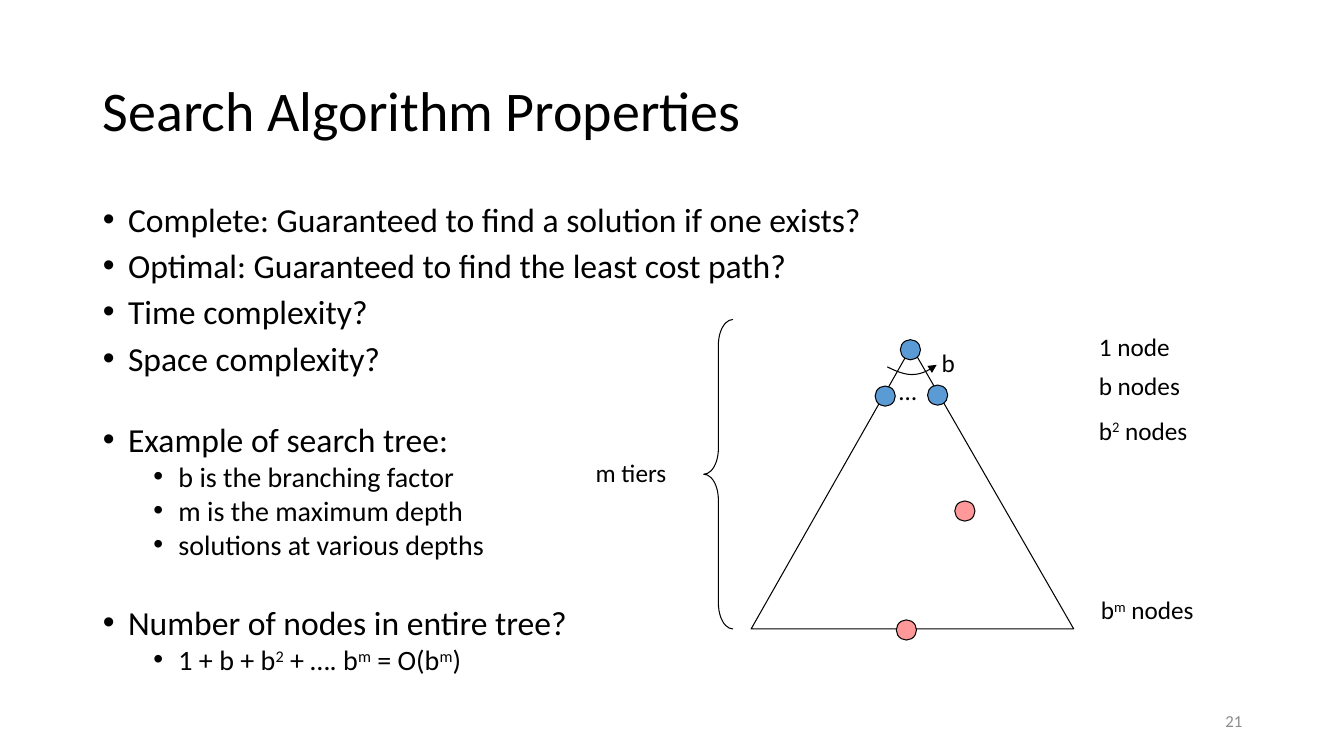
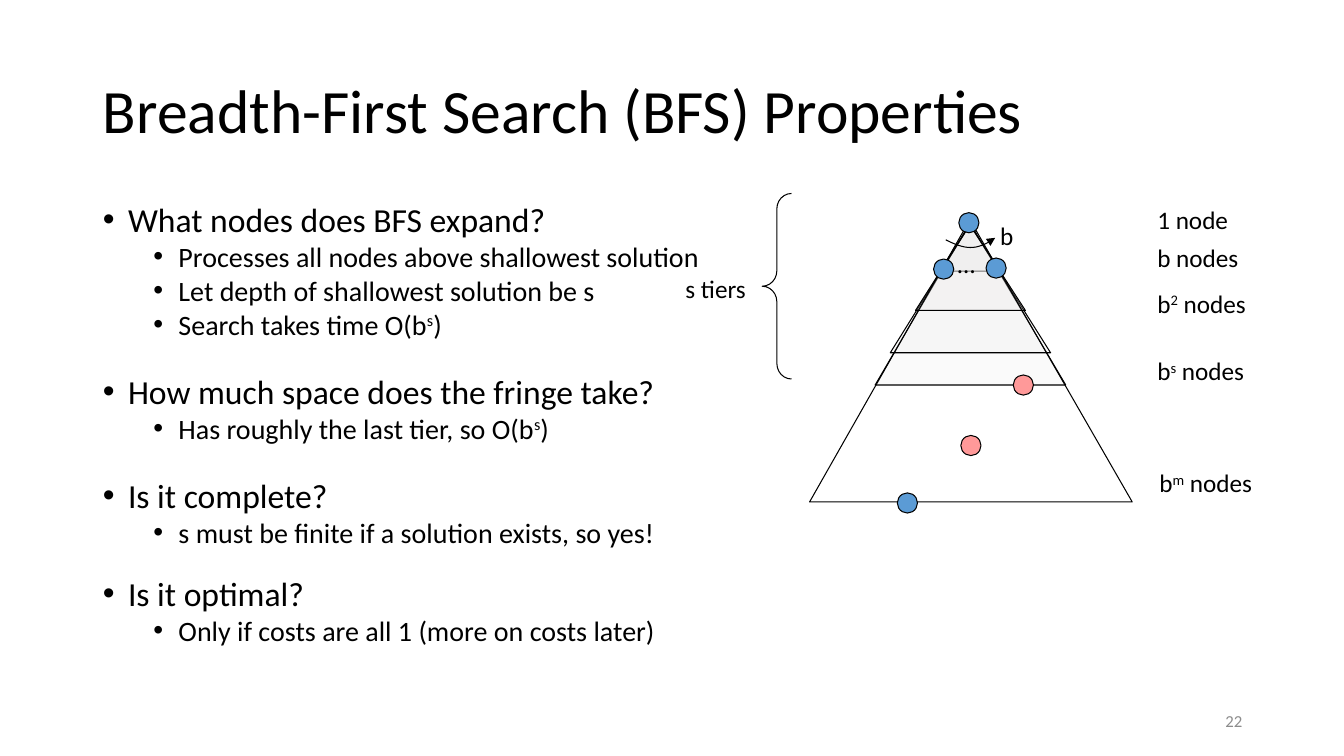
"""Build two slides on search tree properties and breadth-first search."""
from pptx import Presentation
from pptx import util as u
from pptx.dml.color import RGBColor
from pptx.enum import shapes, text
from pptx.oxml import ns, xmlchemy

PX = 9144
FONT = "Calibri"
BLACK = RGBColor(0x00, 0x00, 0x00)
GRAY = RGBColor(0x8C, 0x8C, 0x8C)
SHADE = RGBColor(0xE7, 0xE6, 0xE6)
BLUE = RGBColor(0x5B, 0x9B, 0xD5)
PINK = RGBColor(0xFF, 0x99, 0x99)
DOT = 20
LINE_WIDTH = u.Pt(0.75)
SIZES = [24, 20]
INDENTS = [25, 75]
HANGING = 25


def write(para, content, size=18, color=BLACK, align=text.PP_ALIGN.LEFT, spacing=1.0, before=0):
    """Fill a paragraph; pieces between bars become superscripts."""
    para.alignment = align
    para.line_spacing = spacing
    para.space_before = u.Pt(before)
    for index, piece in enumerate(content.split("|")):
        span = para.add_run()
        span.text = piece
        span.font.name = FONT
        span.font.size = u.Pt(size)
        span.font.color.rgb = color
        if index % 2:
            span._r.get_or_add_rPr().set("baseline", "30000")


def outline(page, points, close=True):
    """Draw an unfilled black outline through points given in px."""
    scaled = [(x * PX, y * PX) for x, y in points]
    builder = page.shapes.build_freeform(*scaled[0])
    builder.add_line_segments(scaled[1:], close=close)
    shape = builder.convert_to_shape()
    shape.shadow.inherit = False
    shape.fill.background()
    shape.line.color.rgb = BLACK
    shape.line.width = LINE_WIDTH
    return shape


TREE_DOTS = [(-1, 3), (-26, 49), (26, 48)]
TREE_LABELS = [
    ("…", -22, 23, 30),
    ("b", 20, -4, 33),
    ("1 node", 176, -20, 122),
    ("b nodes", 176, 18, 122),
    ("b|2| nodes", 176, 63, 122),
    ("b|m| nodes", 178, 241, 160),
]
ARC = [(-24, 20), (-6, 29), (6, 32), (25, 18)]
ARC_STEPS = 16

# Bullets are (level, space before in points, text).
SLIDES = [
    dict(
        number="21",
        title="Search Algorithm Properties",
        title_size=40,
        bullets=[
            (0, 0, "Complete: Guaranteed to find a solution if one exists?"),
            (0, 10, "Optimal: Guaranteed to find the least cost path?"),
            (0, 10, "Time complexity?"),
            (0, 10, "Space complexity?"),
            (0, 35, "Example of search tree:"),
            (1, 5, "b is the branching factor"),
            (1, 5, "m is the maximum depth"),
            (1, 5, "solutions at various depths"),
            (0, 35, "Number of nodes in entire tree?"),
            (1, 5, "1 + b + b|2| + …. b|m| = O(b|m|)"),
        ],
        apex=(904, 344),
        tiers=[],
        dots=[(899, 625, PINK), (957, 507, PINK)],
        brace=(698, 317, 29, 307),
        curl=0.88,
        labels=[("m tiers", 581, 449, 138)],
    ),
    dict(
        number="22",
        title="Breadth-First Search (BFS) Properties",
        title_size=44,
        bullets=[
            (0, 0, "What nodes does BFS expand?"),
            (1, 5, "Processes all nodes above shallowest solution"),
            (1, 5, "Let depth of shallowest solution be s"),
            (1, 5, "Search takes time O(b|s|)"),
            (0, 27, "How much space does the fringe take?"),
            (1, 5, "Has roughly the last tier, so O(b|s|)"),
            (0, 27, "Is it complete?"),
            (1, 5, "s must be finite if a solution exists, so yes!"),
            (0, 23, "Is it optimal?"),
            (1, 5, "Only if costs are all 1 (more on costs later)"),
        ],
        apex=(962, 218),
        tiers=[(223, 932, 992, 269), (221, 868, 1057, 382), (223, 883, 1042, 350), (223, 908, 1017, 308)],
        dots=[(900, 499, BLUE), (1015, 382, PINK), (963, 442, PINK)],
        brace=(756, 192, 29, 184),
        curl=0.53,
        labels=[("s tiers", 670, 266, 138), ("b|s| nodes", 1138, 348, 160)],
    ),
]

deck = Presentation()
deck.slide_width, deck.slide_height = 1333 * PX, 750 * PX

for content in SLIDES:
    page = deck.slides.add_slide(deck.slide_layouts[1])
    apex_x, apex_y = content["apex"]

    title = page.shapes.title
    body = page.placeholders[1]
    for box, top, height, anchor in [
        (title, 40, 145, text.MSO_ANCHOR.MIDDLE),
        (body, 200, 476, text.MSO_ANCHOR.TOP),
    ]:
        box.left, box.top, box.width, box.height = 92 * PX, top * PX, 1150 * PX, height * PX
        box.text_frame.auto_size = text.MSO_AUTO_SIZE.NONE
        box.text_frame.vertical_anchor = anchor
    write(title.text_frame.paragraphs[0], content["title"], size=content["title_size"], spacing=0.9)

    for index, (level, before, line) in enumerate(content["bullets"]):
        para = body.text_frame.add_paragraph() if index else body.text_frame.paragraphs[0]
        para.level = level
        properties = para._p.get_or_add_pPr()
        properties.set("marL", str(INDENTS[level] * PX))
        properties.set("indent", str(-HANGING * PX))
        for tag, key, value in [("a:buFont", "typeface", "Arial"), ("a:buChar", "char", "•")]:
            bullet = xmlchemy.OxmlElement(tag)
            bullet.set(key, value)
            properties.append(bullet)
        write(para, line, size=SIZES[level], spacing=0.8, before=before)

    for top, left, right, bottom in content["tiers"]:
        tier = outline(page, [(962, top), (left, bottom), (right, bottom)])
        tier.fill.solid()
        tier.fill.fore_color.rgb = SHADE
        alpha = xmlchemy.OxmlElement("a:alpha")
        alpha.set("val", "20000")
        tier._element.spPr.find(ns.qn("a:solidFill"))[0].append(alpha)

    outline(page, [(apex_x, apex_y), (apex_x - 159, apex_y + 280), (apex_x + 161, apex_y + 280)])

    dots = [(apex_x + x, apex_y + y, BLUE) for x, y in TREE_DOTS] + content["dots"]
    for x, y, color in dots:
        dot = page.shapes.add_shape(
            shapes.MSO_SHAPE.OVAL, (x - DOT // 2) * PX, (y - DOT // 2) * PX, DOT * PX, DOT * PX)
        dot.shadow.inherit = False
        dot.fill.solid()
        dot.fill.fore_color.rgb = color
        dot.line.color.rgb = BLACK
        dot.line.width = LINE_WIDTH

    curve = []
    for step in range(ARC_STEPS + 1):
        t = step / ARC_STEPS
        weights = [(1 - t) ** 3, 3 * t * (1 - t) ** 2, 3 * t ** 2 * (1 - t), t ** 3]
        curve.append((
            apex_x + sum(w * x for w, (x, y) in zip(weights, ARC)),
            apex_y + sum(w * y for w, (x, y) in zip(weights, ARC)),
        ))
    arrow = outline(page, curve, close=False)
    head = xmlchemy.OxmlElement("a:tailEnd")
    head.set("type", "triangle")
    arrow._element.spPr.find(ns.qn("a:ln")).append(head)

    brace = page.shapes.add_shape(
        shapes.MSO_SHAPE.LEFT_BRACE, *[length * PX for length in content["brace"]])
    brace.adjustments[0] = content["curl"]
    brace.shadow.inherit = False
    brace.fill.background()
    brace.line.color.rgb = BLACK
    brace.line.width = LINE_WIDTH

    labels = [(line, apex_x + x, apex_y + y, width) for line, x, y, width in TREE_LABELS]
    for line, x, y, width in labels + content["labels"]:
        label = page.shapes.add_textbox(x * PX, y * PX, width * PX, 40 * PX)
        label.text_frame.word_wrap = True
        write(label.text_frame.paragraphs[0], line)

    footer = page.shapes.add_textbox(942 * PX, 695 * PX, 300 * PX, 40 * PX)
    footer.text_frame.word_wrap = True
    footer.text_frame.vertical_anchor = text.MSO_ANCHOR.MIDDLE
    write(footer.text_frame.paragraphs[0], content["number"], size=12, color=GRAY,
          align=text.PP_ALIGN.RIGHT)

deck.save("out.pptx")
